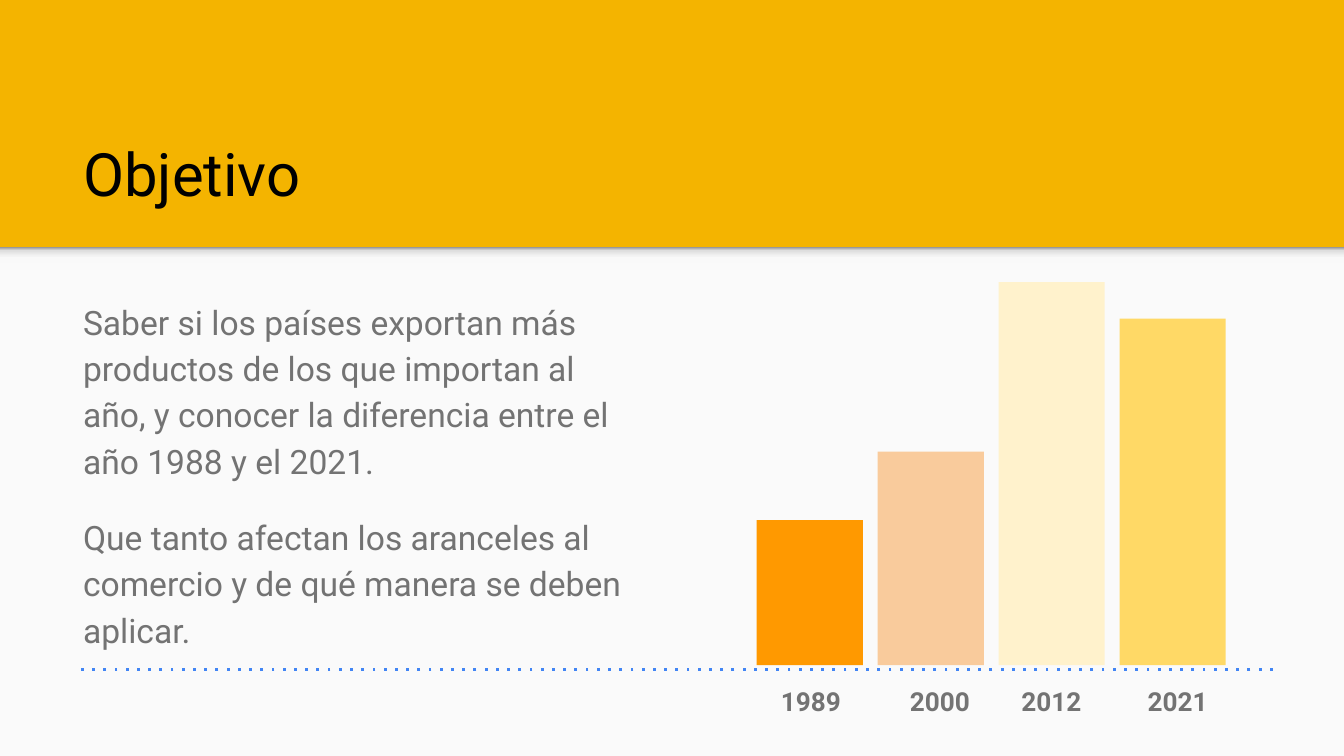
from copy import deepcopy

from lxml.etree import SubElement
from pptx import Presentation
from pptx.dml.color import RGBColor
from pptx.enum.shapes import MSO_CONNECTOR as LINE, MSO_SHAPE as SHAPE
from pptx.enum.text import MSO_ANCHOR as ANCHOR
from pptx.oxml.ns import qn
from pptx.util import Inches, Pt

COLORS = {
    "banner": "F4B400",
    "page": "FAFAFA",
    "title": "000000",
    "text": "737373",
    "axis": "4285F4",
}
SHADE = [(0, "F9F9F9"), (0.36, "F9F9F9"), (0.8, "DEDEDE"), (1, "999999")]
OBJECTIVES = [
    "Saber si los países exportan más productos de los que importan al año, "
    "y conocer la diferencia entre el año 1988 y el 2021.",
    "Que tanto afectan los aranceles al comercio y de qué manera se deben aplicar.",
]
BARS = [
    ("1989", 1.08, "FF9900", 0.96),
    ("2000", 1.59, "F9CB9C", 0.83),
    ("2012", 2.85, "FFF2CC", 0.94),
    ("2021", 2.58, "FFD966", 1.19),
]
BAR_LEFT, BAR_STEP, BAR_WIDTH, BAR_BASE = 5.63, 0.9, 0.79, 4.95
AXIS_Y = 4.98


def rgb(value):
    return RGBColor.from_string(value)


def add_rect(slide, box, color):
    rect = slide.shapes.add_shape(SHAPE.RECTANGLE, *map(Inches, box))
    rect.shadow.inherit = False
    rect.line.fill.background()
    rect.fill.solid()
    rect.fill.fore_color.rgb = rgb(color)
    return rect


def add_shade(slide, box):
    shade = add_rect(slide, box, COLORS["page"])
    shade.fill.gradient()
    shade.fill.gradient_angle = 90
    stop_list = shade._element.spPr.find(".//" + qn("a:gsLst"))
    for _ in range(len(SHADE) - len(stop_list)):
        stop_list.append(deepcopy(stop_list[0]))
    for stop, (position, color) in zip(shade.fill.gradient_stops, SHADE):
        stop.position = position
        stop.color.rgb = rgb(color)


def write(paragraph, text, size, color, bold=False, **spacing):
    run = paragraph.add_run()
    run.text = text
    run.font.color.rgb = rgb(color)
    for name, value in {"name": "Roboto", "size": Pt(size), "bold": bold}.items():
        setattr(run.font, name, value)
    for name, value in spacing.items():
        setattr(paragraph, name, value)


def add_text_frame(slide, box, anchor):
    frame = slide.shapes.add_textbox(*map(Inches, box)).text_frame
    margins = ("margin_left", "margin_top", "margin_right", "margin_bottom")
    settings = {"word_wrap": True, "vertical_anchor": anchor}
    settings.update(dict.fromkeys(margins, Inches(0.1)))
    for name, value in settings.items():
        setattr(frame, name, value)
    return frame


def add_year_labels(slide):
    widths = [Inches(bar[3]) for bar in BARS]
    table = slide.shapes.add_table(
        1, len(BARS), Inches(5.71), Inches(AXIS_Y), sum(widths), Inches(0.26)
    ).table
    table.first_row = table.horz_banding = False
    for index, (year, _, _, _) in enumerate(BARS):
        table.columns[index].width = widths[index]
        cell = table.cell(0, index)
        for side in ("left", "top", "right", "bottom"):
            setattr(cell, f"margin_{side}", Inches(0.1))
        properties = cell._tc.get_or_add_tcPr()
        for edge in ("a:lnL", "a:lnR", "a:lnT", "a:lnB"):
            SubElement(SubElement(properties, qn(edge)), qn("a:noFill"))
        cell.fill.background()
        write(cell.text_frame.paragraphs[0], year, 14, COLORS["text"],
              bold=True, line_spacing=1.15)


def add_bars(slide):
    for index, (_, height, color, _) in enumerate(BARS):
        left = BAR_LEFT + index * BAR_STEP
        add_rect(slide, (left, BAR_BASE - height, BAR_WIDTH, height), color)


def add_axis(slide):
    ends = map(Inches, (9.47, AXIS_Y, 0.56, AXIS_Y))
    axis = slide.shapes.add_connector(LINE.STRAIGHT, *ends)
    axis.line.color.rgb = rgb(COLORS["axis"])
    axis.line.width = Pt(1.5)
    properties = axis._element.spPr
    SubElement(properties.find(qn("a:ln")), qn("a:prstDash"), val="dot")
    SubElement(properties, qn("a:effectLst"))


def main():
    deck = Presentation()
    deck.slide_width = Inches(10)
    deck.slide_height = deck.slide_width * 9 // 16
    slide = deck.slides.add_slide(deck.slide_layouts[6])
    slide.background.fill.solid()
    slide.background.fill.fore_color.rgb = rgb(COLORS["banner"])

    add_rect(slide, (0, 1.84, 10, 3.79), COLORS["page"])
    add_shade(slide, (0, 1.84, 10, 0.12))

    title = add_text_frame(slide, (0.52, 0.81, 8.99, 0.84), ANCHOR.BOTTOM)
    write(title.paragraphs[0], "Objetivo", 32, COLORS["title"])

    body = add_text_frame(slide, (0.52, 2.1, 4.37, 2.96), ANCHOR.TOP)
    first, second = body.paragraphs[0], body.add_paragraph()
    write(first, OBJECTIVES[0], 18, COLORS["text"], line_spacing=1.15)
    write(second, OBJECTIVES[1], 18, COLORS["text"], line_spacing=1.15,
          space_before=Pt(16), space_after=Pt(16))

    add_year_labels(slide)
    add_bars(slide)
    add_axis(slide)
    deck.save("out.pptx")


if __name__ == "__main__":
    main()
